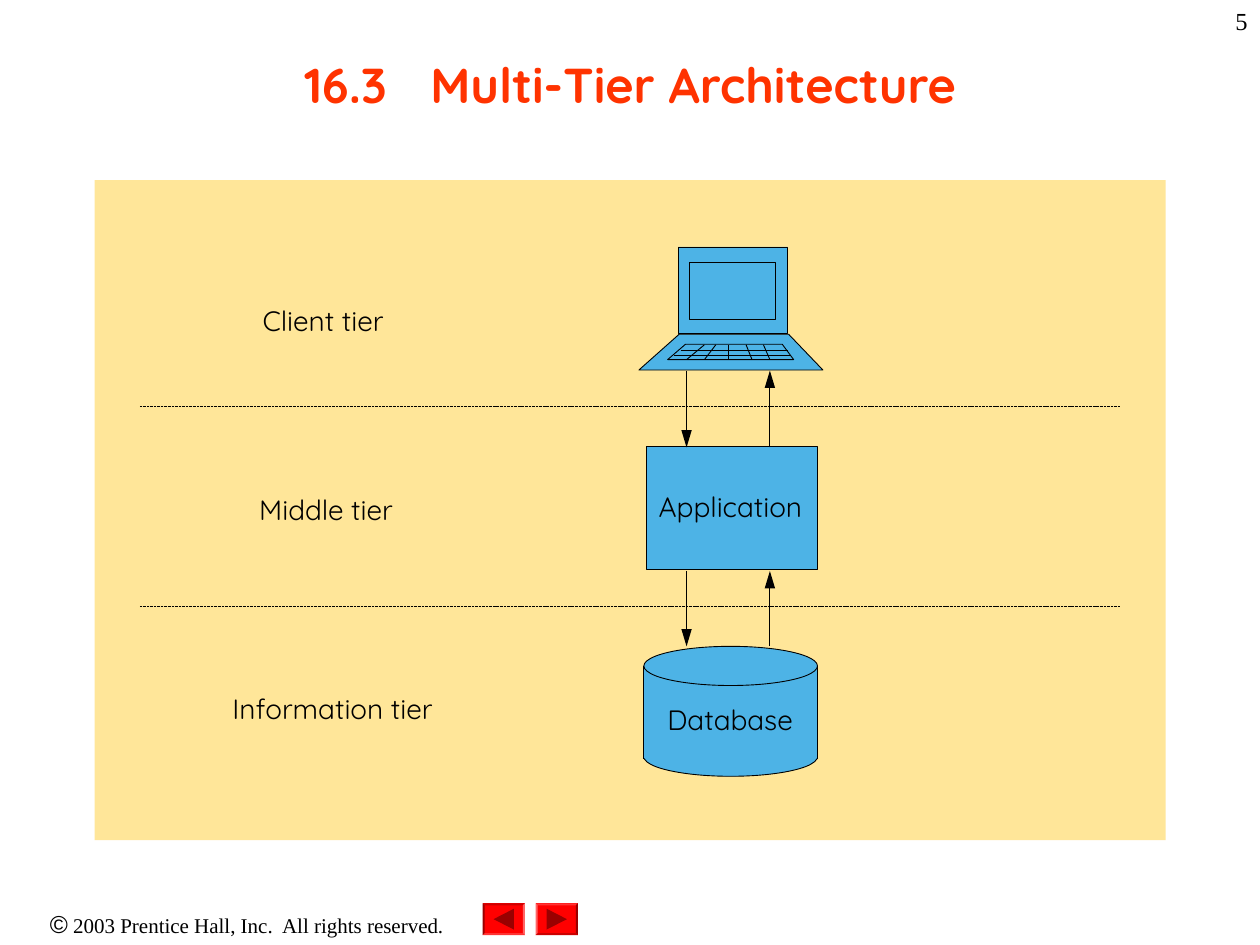
"""Build the multi-tier architecture slide."""
from dataclasses import dataclass

from lxml.etree import SubElement
from pptx import Presentation
from pptx.dml.color import RGBColor
from pptx.enum.dml import MSO_LINE
from pptx.enum.shapes import MSO_CONNECTOR, MSO_SHAPE as Preset
from pptx.enum.text import MSO_ANCHOR as Anchor, PP_ALIGN as Align
from pptx.oxml.ns import qn
from pptx.util import Cm, Pt

COLOURS = {
    "black": "000000", "title": "FF3300", "panel": "FFE699", "blue": "4DB3E6",
    "red": "FF0000", "top": "FF3333", "left": "FF6666",
    "right": "990000", "bottom": "CC0000", "sign": "990000",
}
Point = tuple[float, float]
Box = tuple[float, float, float, float]


@dataclass
class Words:
    text: str
    size: float
    font: str = "Quicksand"
    colour: str = "black"
    bold: bool = False


@dataclass
class Label:
    box: Box
    words: list[Words]
    align: Align = Align.CENTER
    anchor: Anchor = Anchor.TOP
    inset: bool = True
    spacing: float = 1.0
    tabs: int = 0


@dataclass
class Stroke:
    start: Point
    end: Point
    width: float = 0.5
    dashed: bool = False
    arrow: bool = False


def rgb(name: str) -> RGBColor:
    """Look up a named colour."""
    return RGBColor.from_string(COLOURS[name])


def paint(shape, fill: str | None, line: str | None) -> None:
    """Set the fill and outline of a shape."""
    shape.shadow.inherit = False
    if fill:
        shape.fill.solid()
        shape.fill.fore_color.rgb = rgb(fill)
    else:
        shape.fill.background()
    if line:
        shape.line.color.rgb = rgb(line)
        shape.line.width = Pt(0.5)
    else:
        shape.line.fill.background()


def draw_preset(shapes, kind: Preset, box: Box, fill: str, line: str | None = "black") -> None:
    """Draw a preset shape."""
    paint(shapes.add_shape(kind, *map(Cm, box)), fill, line)


def draw_polygon(shapes, points: list[Point], fill: str, line: str | None = "black") -> None:
    """Draw a closed outline through the points."""
    first, *others = [(Cm(x), Cm(y)) for x, y in points]
    builder = shapes.build_freeform(*first, scale=1.0)
    builder.add_line_segments(others, close=True)
    paint(builder.convert_to_shape(), fill, line)


def draw_stroke(shapes, stroke: Stroke) -> None:
    """Draw a straight line, dashed or with an arrowhead if asked."""
    connector = shapes.add_connector(
        MSO_CONNECTOR.STRAIGHT, *map(Cm, (*stroke.start, *stroke.end)))
    connector.line.color.rgb = rgb("black")
    connector.line.width = Pt(stroke.width)
    if stroke.dashed:
        connector.line.dash_style = MSO_LINE.SQUARE_DOT
    if stroke.arrow:
        SubElement(connector.line._get_or_add_ln(), qn("a:tailEnd"),
                   type="triangle", w="med", len="lg")
    SubElement(connector._element.spPr, qn("a:effectLst"))


def draw_label(shapes, label: Label) -> None:
    """Write a one-paragraph text box."""
    frame = shapes.add_textbox(*map(Cm, label.box)).text_frame
    frame.word_wrap = True
    frame.vertical_anchor = label.anchor
    if not label.inset:
        frame.margin_left = frame.margin_right = 0
        frame.margin_top = frame.margin_bottom = 0
    paragraph = frame.paragraphs[0]
    paragraph.alignment = label.align
    paragraph.line_spacing = label.spacing
    if label.tabs:
        stops = SubElement(paragraph._p.get_or_add_pPr(), qn("a:tabLst"))
        for stop in range(label.tabs):
            SubElement(stops, qn("a:tab"), pos=str(Cm(2.54 * stop)), algn="l")
    for words in label.words:
        run = paragraph.add_run()
        run.text = words.text
        run.font.size = Pt(words.size)
        run.font.name = words.font
        run.font.bold = words.bold
        run.font.color.rgb = rgb(words.colour)


def draw_button(shapes, left: float, forward: bool) -> None:
    """Draw a bevelled navigation button, half-turned when it points back."""
    top, width, height, edge = 18.21, 0.85, 0.64, 0.04

    def turn(points: list[Point]) -> list[Point]:
        return [(left + (x if forward else width - x),
                 top + (y if forward else height - y)) for x, y in points]

    outer = [(0, 0), (width, 0), (width, height), (0, height)]
    inner = [(edge, edge), (width - edge, edge),
             (width - edge, height - edge), (edge, height - edge)]
    draw_polygon(shapes, turn(outer), "red", None)
    for side, name in enumerate(("top", "right", "bottom", "left")):
        after = (side + 1) % 4
        bevel = [outer[side], outer[after], inner[after], inner[side]]
        draw_polygon(shapes, turn(bevel), name, None)
    draw_polygon(shapes, turn([(0.22, 0.11), (0.63, 0.32), (0.22, 0.53)]), "sign", None)


def draw_laptop(shapes) -> None:
    """Draw the client computer."""
    draw_polygon(shapes, [(13.69, 6.74), (15.9, 6.74), (16.59, 7.46), (12.88, 7.46)], "blue")
    for box in ((13.67, 4.98, 2.21, 1.75), (13.9, 5.3, 1.74, 1.14)):
        draw_preset(shapes, Preset.RECTANGLE, box, "blue")
    draw_polygon(shapes, [(13.82, 6.94), (15.77, 6.94), (16, 7.25), (13.46, 7.25)], "blue")
    for low, high in ((13.84, 14.2), (14.2, 14.43), (14.68, 14.68),
                      (15.16, 15.04), (15.52, 15.39)):
        draw_stroke(shapes, Stroke((low, 7.25), (high, 6.95)))
    for start, end, y in ((13.72, 15.88, 7.06), (13.59, 15.93, 7.16)):
        draw_stroke(shapes, Stroke((start, y), (end, y)))


def draw_database(shapes) -> None:
    """Draw the database cylinder."""
    left, width, rim = 12.98, 3.5, 0.79
    draw_preset(shapes, Preset.OVAL, (left, 14.86, width, rim), "blue")
    draw_preset(shapes, Preset.RECTANGLE, (left, 13.46, width, 1.83), "blue", None)
    draw_preset(shapes, Preset.OVAL, (left, 13.03, width, rim), "blue")
    for x in (left, left + width):
        draw_stroke(shapes, Stroke((x, 13.43), (x, 15.3)))


def main() -> None:
    """Assemble and save the slide."""
    deck = Presentation()
    deck.slide_width, deck.slide_height = Cm(25.4), Cm(19.05)
    shapes = deck.slides.add_slide(deck.slide_layouts[6]).shapes

    draw_label(shapes, Label((0, 18.21, 9.96, 0.86), [
        Words("©", 14, "Arial"),
        Words(" 2003 Prentice Hall, Inc.  All rights reserved.", 12, "Times New Roman")]))
    draw_button(shapes, 10.8, True)
    draw_button(shapes, 9.73, False)
    draw_label(shapes, Label(
        (1.91, 0.2, 21.59, 2.97),
        [Words("16.3  \tMulti-Tier Architecture", 28, colour="title", bold=True)],
        anchor=Anchor.MIDDLE, tabs=8))

    draw_preset(shapes, Preset.RECTANGLE, (1.91, 3.63, 21.59, 13.31), "panel", None)
    draw_laptop(shapes)
    draw_preset(shapes, Preset.RECTANGLE, (13.04, 9.01, 3.44, 2.48), "blue")
    for upper, lower in ((7.47, 9.02), (11.51, 13.03)):
        draw_stroke(shapes, Stroke((13.84, upper), (13.84, lower), arrow=True))
        draw_stroke(shapes, Stroke((15.52, lower), (15.52, upper), arrow=True))
    for border in (8.18, 12.22):
        draw_stroke(shapes, Stroke((2.82, border), (22.58, border), 0.2, dashed=True))
    draw_database(shapes)

    for text, box in (("Client tier", (4.47, 6.25, 4.09, 0.41)),
                      ("Middle tier", (4.72, 10.06, 3.71, 0.41)),
                      ("Information tier", (4.37, 14.07, 4.67, 0.41)),
                      ("Application", (13, 10.01, 3.45, 0.56)),
                      ("Database", (13.16, 14.3, 3.12, 0.46))):
        draw_label(shapes, Label(box, [Words(text, 16)], inset=False, spacing=0.8))
    draw_label(shapes, Label((20.12, 0, 5.28, 1.27),
                             [Words("5", 14, "Times New Roman")], Align.RIGHT))
    deck.save("out.pptx")


if __name__ == "__main__":
    main()
